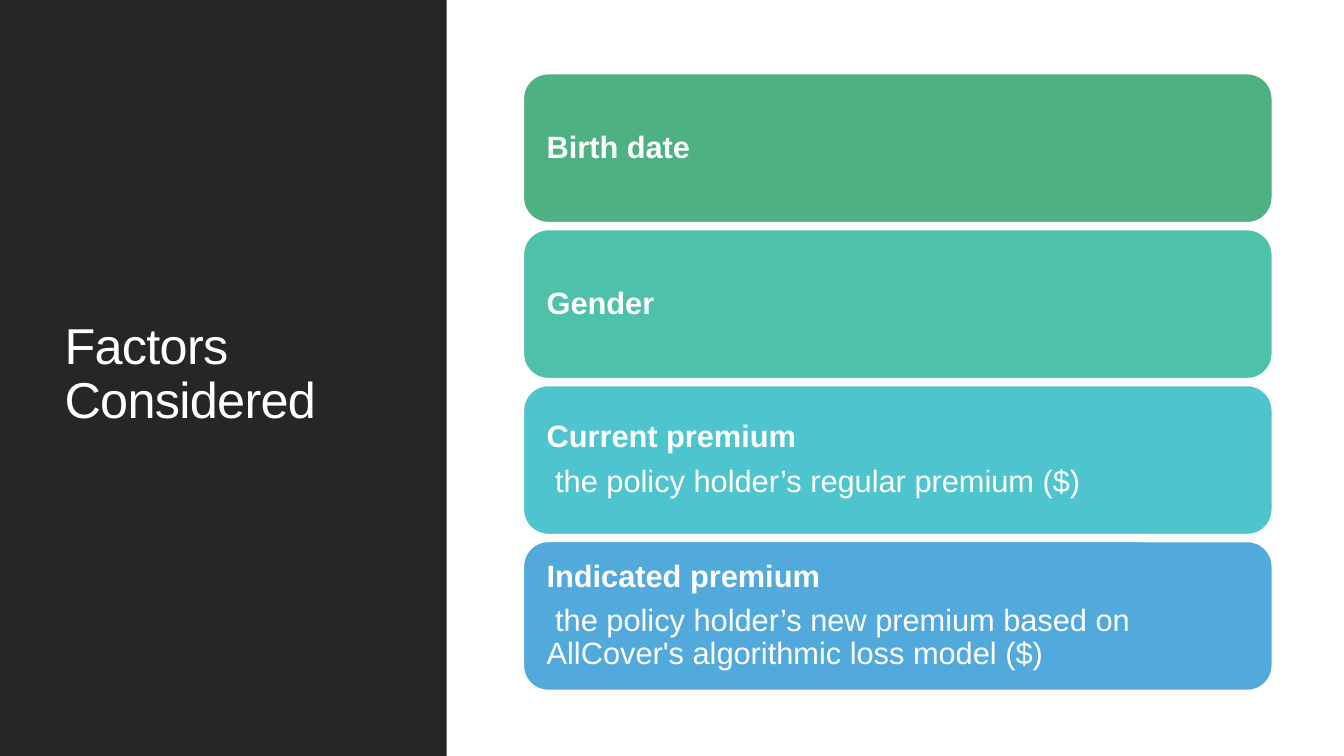
from pptx import Presentation
from pptx import util as u
from pptx.dml.color import RGBColor
from pptx.enum import shapes, text

COLORS = {
    "dark": "262626",
    "white": "FFFFFF",
    "green": "4DB181",
    "mint": "4DC1A9",
    "teal": "4EC5CE",
    "blue": "51AADB",
}

FACTORS = [
    ("green", ["Birth date"]),
    ("mint", ["Gender"]),
    ("teal", ["Current premium", " the policy holder’s regular premium ($)"]),
    ("blue", ["Indicated premium",
              " the policy holder’s new premium based on "
              "AllCover's algorithmic loss model ($)"]),
]


class Deck:
    font = "Arial"

    def __init__(self):
        self.prs = Presentation()
        self.prs.slide_width = u.Inches(13.33)
        self.prs.slide_height = u.Inches(7.5)
        self.slide = self.prs.slides.add_slide(self.prs.slide_layouts[5])

    def color(self, name):
        return RGBColor.from_string(COLORS[name])

    def style(self, p, size, bold=False):
        p.alignment = text.PP_ALIGN.LEFT
        p.line_spacing = 0.9
        p.font.name = self.font
        p.font.size = u.Pt(size)
        p.font.bold = bold
        p.font.color.rgb = self.color("white")

    def shape(self, kind, box, fill):
        sp = self.slide.shapes.add_shape(kind, *map(u.Inches, box))
        sp.shadow.inherit = False
        sp.fill.solid()
        sp.fill.fore_color.rgb = self.color(fill)
        sp.line.fill.background()
        return sp

    def panel(self, box, fill):
        sp = self.shape(shapes.MSO_SHAPE.RECTANGLE, box, fill)
        self.slide.shapes.title._element.addprevious(sp._element)

    def title(self, box, words):
        sp = self.slide.shapes.title
        sp.left, sp.top, sp.width, sp.height = map(u.Inches, box)
        tf = sp.text_frame
        tf.text = words
        tf.word_wrap = True
        tf.vertical_anchor = text.MSO_ANCHOR.MIDDLE
        p = tf.paragraphs[0]
        self.style(p, 36)
        p.runs[0].font._element.set("spc", "-50")

    def card(self, box, fill, lines):
        sp = self.shape(shapes.MSO_SHAPE.ROUNDED_RECTANGLE, box, fill)
        sp.line.color.rgb = self.color("white")
        sp.line.width = u.Pt(1.25)
        tf = sp.text_frame
        tf.word_wrap = True
        tf.vertical_anchor = text.MSO_ANCHOR.MIDDLE
        tf.margin_left = tf.margin_right = u.Inches(0.16)
        tf.margin_top = tf.margin_bottom = u.Inches(0.16)
        tf.text = "\n".join(lines)
        for i, p in enumerate(tf.paragraphs):
            self.style(p, 22, bold=i == 0)
            p.space_after = u.Pt(7.7)


def main():
    deck = Deck()
    deck.panel((0, 0, 4.43, 7.5), "dark")
    deck.title((0.54, 0.57, 3.37, 6.31), "Factors Considered")
    for i, (fill, lines) in enumerate(FACTORS):
        deck.card((5.19, 0.73 + 1.547 * i, 7.43, 1.48), fill, lines)
    deck.prs.save("out.pptx")


if __name__ == "__main__":
    main()
